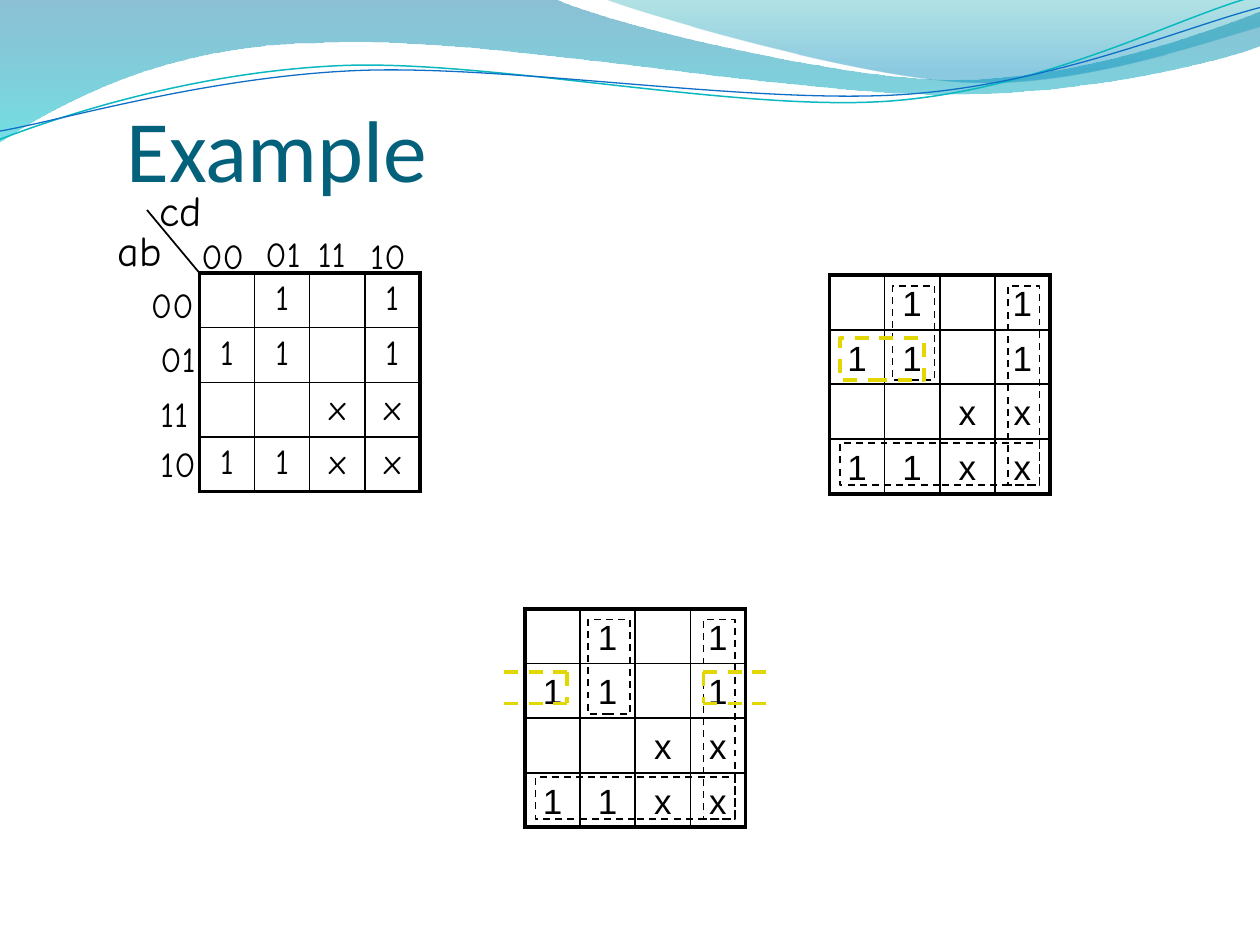
from dataclasses import dataclass

from lxml import etree
from pptx import Presentation
from pptx import util as u
from pptx.dml.color import RGBColor
from pptx.enum import dml, shapes, text
from pptx.oxml.ns import qn


@dataclass(frozen=True)
class Theme:
    ink: str = "000000"
    title: str = "04617B"
    loop: str = "E2D700"
    teal: str = "0AB8BF"
    blue: str = "0F6FC6"
    title_font: str = "Calibri"
    map_font: str = "Arial"
    label_font: str = "Comic Neue"
    title_size: float = 50
    name_size: float = 24
    cell_size: float = 20
    thin: float = 1
    medium: float = 2
    thick: float = 2.25


@dataclass(frozen=True)
class Stop:
    position: float
    color: str
    opacity: int


@dataclass(frozen=True)
class Wave:
    """An outline: 2 numbers are a line end, 6 numbers are a Bezier curve."""
    frame: tuple
    start: tuple
    segments: tuple
    stops: tuple = ()
    color: str = ""
    width: float = 0
    rotation: float = 0


@dataclass(frozen=True)
class Label:
    text: str
    left: float
    top: float
    size: float
    indent: float = 7.2


@dataclass(frozen=True)
class Loop:
    left: float
    top: float
    width: float
    height: float
    color: str
    weight: float


THEME = Theme()
COLUMN, ROW = 31.5, 31.2
VALUES = (("", "1", "", "1"), ("1", "1", "", "1"), ("", "", "x", "x"), ("1", "1", "x", "x"))
WAVES = (
    Wave((-0.7, -0.7, 721.4, 82.1), (0, -0.7),
         ((316.8, -0.7), (342.7, 12.2, 478.1, 45.4, 545.8, 45.4),
          (614.2, 45.4, 689.8, 18.7, 720, 6.5), (720.7, 25.9),
          (707.8, 31.7, 626.4, 54.7, 537.1, 54), (447.8, 54, 275, 20.2, 185, 24.5),
          (92.9, 25.2, 33.1, 59.8, -0.7, 81.4), (0, -0.7)),
         stops=(Stop(0, "0074A1", 45), Stop(1, "00C6CF", 55))),
    Wave((344.9, -0.7, 375.1, 50.4), (344.9, -0.7),
         ((366.5, 7.9, 491, 44.6, 553.7, 46.8), (616.3, 49.7, 691.9, 23, 720, 15.1),
          (720, 0), (344.9, -0.7)),
         stops=(Stop(0, "00A1A9", 30), Stop(0.8, "008BBF", 45))),
    Wave((-1.4, 15.8, 721.4, 51.1), (-1.9, 62.8),
         ((32.05, 51.56, 109.95, 29.32, 195.26, 29.76),
          (280.3, 30.17, 421.28, 67.19, 507.9, 64.77),
          (594.55, 62.35, 671.96, 25.66, 715.67, 15.5)),
         color=THEME.teal, width=0.85, rotation=357.3),
    Wave((-1.4, 21.6, 722.2, 41.8), (-1.13, 57.92),
         ((32.9, 53.72, 118.29, 32.54, 204.07, 32.98),
          (290.54, 33.46, 428.9, 63.09, 515.47, 61.37),
          (601.34, 59.62, 678.37, 30.11, 721.34, 21.33)),
         color=THEME.blue, width=0.75, rotation=357.3),
)
SHARED_LOOPS = tuple(Loop(*frame, THEME.ink, THEME.thin) for frame in (
    (102, 6, 18, 114), (6, 96, 114, 24), (36, 6, 24, 54)))
PAIR_LOOP = Loop(6, 36, 48, 24, THEME.loop, THEME.medium)
WRAPPING_LINES = ((-12, 36, 24, 36), (-12, 54, 24, 54), (24, 36, 24, 54),
                  (138, 36, 96, 36), (138, 54, 96, 54), (102, 36, 102, 54))
CODES = ("00", "01", "11", "10")
INDENTS = (7.2, 13.2, 13.2, 13.2)
ROW_PLACES = ((79.2, 158.5), (78.5, 189.5), (78.5, 220.5), (78.5, 249.3))
COLUMN_PLACES = ((108, 130.5), (138.5, 129.5), (168.5, 129.5), (198.5, 130.5))
LABELS = (
    Label("ab", 60, 124.5, THEME.name_size),
    Label("cd", 84, 102, THEME.name_size),
    *(Label(code, *place, THEME.cell_size, indent)
      for places in (ROW_PLACES, COLUMN_PLACES)
      for code, place, indent in zip(CODES, places, INDENTS)),
)


def draw_wave(page, wave: Wave) -> None:
    left, top, width, height = wave.frame
    builder = page.shapes.build_freeform(u.Pt(left), u.Pt(top), scale=1.0)
    builder.add_line_segments([(u.Pt(left + width), u.Pt(top + height))], close=False)
    shape = builder.convert_to_shape()
    shape.shadow.inherit = False
    shape.rotation = wave.rotation
    trace_curves(shape, wave)
    if not wave.stops:
        shape.fill.background()
        set_line(shape.line, wave.color, wave.width)
        return
    shape.line.fill.background()
    shape.fill.gradient()
    shape.fill.gradient_angle = 270
    for target, stop in zip(shape.fill.gradient_stops, wave.stops):
        target.position = stop.position
        target.color.rgb = RGBColor.from_string(stop.color)
    for color, stop in zip(shape.element.spPr.iter(qn("a:srgbClr")), wave.stops):
        etree.SubElement(color, qn("a:alpha"), val=str(stop.opacity * 1000))


def trace_curves(shape, wave: Wave) -> None:
    """Replace the frame's diagonal with the wave's lines and Bezier curves."""
    left, top = wave.frame[:2]
    outline = next(shape.element.iter(qn("a:path")))
    for step in list(outline):
        outline.remove(step)
    for i, numbers in enumerate((wave.start, *wave.segments)):
        tag = "a:moveTo" if i == 0 else "a:lnTo" if len(numbers) == 2 else "a:cubicBezTo"
        step = etree.SubElement(outline, qn(tag))
        for x, y in zip(numbers[::2], numbers[1::2]):
            etree.SubElement(step, qn("a:pt"), x=str(u.Pt(x - left)), y=str(u.Pt(y - top)))
    if wave.stops:
        etree.SubElement(outline, qn("a:close"))


def set_line(line, color: str, width: float, dashed: bool = False) -> None:
    line.color.rgb = RGBColor.from_string(color)
    line.width = u.Pt(width)
    if dashed:
        line.dash_style = dml.MSO_LINE.DASH


def write(frame, words: str, *, font: str, size: float, color: str = THEME.ink, align=None) -> None:
    para = frame.paragraphs[0]
    para.alignment = align
    span = para.add_run()
    span.text = words
    span.font.name, span.font.size = font, u.Pt(size)
    span.font.color.rgb = RGBColor.from_string(color)


def add_text(parent, words: str, left: float, top: float, width: float, height: float, *,
             indent: float = 7.2, right: float = 0, bottom: float = 3.6,
             anchor=text.MSO_ANCHOR.TOP, **style) -> None:
    box = parent.shapes.add_textbox(*map(u.Pt, (left, top, width, height)))
    frame = box.text_frame
    frame.word_wrap = True
    frame.margin_left, frame.margin_right = u.Pt(indent), u.Pt(right)
    frame.margin_bottom = u.Pt(bottom)
    frame.vertical_anchor = anchor
    write(frame, words, **style)


def add_line(parent, ends: tuple, color: str, width: float, dashed: bool = False) -> None:
    line = parent.shapes.add_connector(shapes.MSO_CONNECTOR.STRAIGHT, *map(u.Pt, ends))
    set_line(line.line, color, width, dashed)
    if width == THEME.thick:
        line.element.spPr.find(qn("a:ln")).set("cap", "sq")
    etree.SubElement(line.element.spPr, qn("a:effectLst"))


def draw_map(page, left: float, top: float, loops: tuple, lines: tuple = ()) -> None:
    """Draw a Karnaugh map with its dashed groupings."""
    group = page.shapes.add_group_shape()
    for r, values in reversed(list(enumerate(VALUES))):
        for c, value in reversed(list(enumerate(values))):
            if value:
                add_text(group, value, left + c * COLUMN, top + r * ROW, COLUMN, ROW, right=7.2,
                         font=THEME.map_font, size=THEME.cell_size, align=text.PP_ALIGN.CENTER)
    right, bottom = left + 4 * COLUMN, top + 4 * ROW
    for i in range(5):
        weight = THEME.thick if i in (0, 4) else THEME.thin
        x, y = left + i * COLUMN, top + i * ROW
        add_line(group, (left, y, right, y), THEME.ink, weight)
        add_line(group, (x, top, x, bottom), THEME.ink, weight)
    for loop in loops:
        frame = (left + loop.left, top + loop.top, loop.width, loop.height)
        shape = group.shapes.add_shape(shapes.MSO_SHAPE.RECTANGLE, *map(u.Pt, frame))
        shape.shadow.inherit = False
        shape.fill.background()
        set_line(shape.line, loop.color, loop.weight, dashed=True)
    for x1, y1, x2, y2 in lines:
        add_line(group, (left + x1, top + y1, left + x2, top + y2),
                 THEME.loop, THEME.medium, dashed=True)


def set_borders(cell, widths: dict) -> None:
    properties = cell._tc.get_or_add_tcPr()
    for i, (side, width) in enumerate(widths.items()):
        border = etree.Element(qn(f"a:ln{side}"), w=str(u.Pt(width)))
        fill = etree.SubElement(border, qn("a:solidFill"))
        etree.SubElement(fill, qn("a:srgbClr"), val=THEME.ink)
        properties.insert(i, border)


def draw_table(page, left: float, top: float) -> None:
    table = page.shapes.add_table(4, 4, *map(u.Pt, (left, top, 4 * COLUMN, 4 * ROW))).table
    table.first_row = table.horz_banding = False
    for r, values in enumerate(VALUES):
        table.rows[r].height, table.columns[r].width = u.Pt(ROW), u.Pt(COLUMN)
        for c, value in enumerate(values):
            cell = table.cell(r, c)
            cell.fill.background()
            edges = {"L": c == 0, "R": c == 3, "T": r == 0, "B": r == 3}
            set_borders(cell, {side: THEME.thick if outer else THEME.thin
                               for side, outer in edges.items()})
            if value:
                write(cell.text_frame, value, font=THEME.label_font, size=THEME.cell_size,
                      align=text.PP_ALIGN.CENTER)


def main() -> None:
    deck = Presentation()
    deck.slide_width, deck.slide_height = u.Pt(720), u.Pt(540)
    page = deck.slides.add_slide(deck.slide_layouts[6])
    for wave in WAVES:
        draw_wave(page, wave)
    add_text(page, "Example", 0, 24, 720, 90, indent=72.5, bottom=0, anchor=text.MSO_ANCHOR.BOTTOM,
             font=THEME.title_font, size=THEME.title_size, color=THEME.title)
    draw_map(page, 474, 157.25, (*SHARED_LOOPS, PAIR_LOOP))
    draw_map(page, 300, 348, SHARED_LOOPS, WRAPPING_LINES)
    draw_table(page, 114, 156)
    for label in LABELS:
        add_text(page, label.text, label.left, label.top, 41, 1.5 * label.size,
                 indent=label.indent, font=THEME.label_font, size=label.size)
    add_line(page, (114, 156, 84, 120), THEME.ink, THEME.thin)
    deck.save("out.pptx")


if __name__ == "__main__":
    main()
